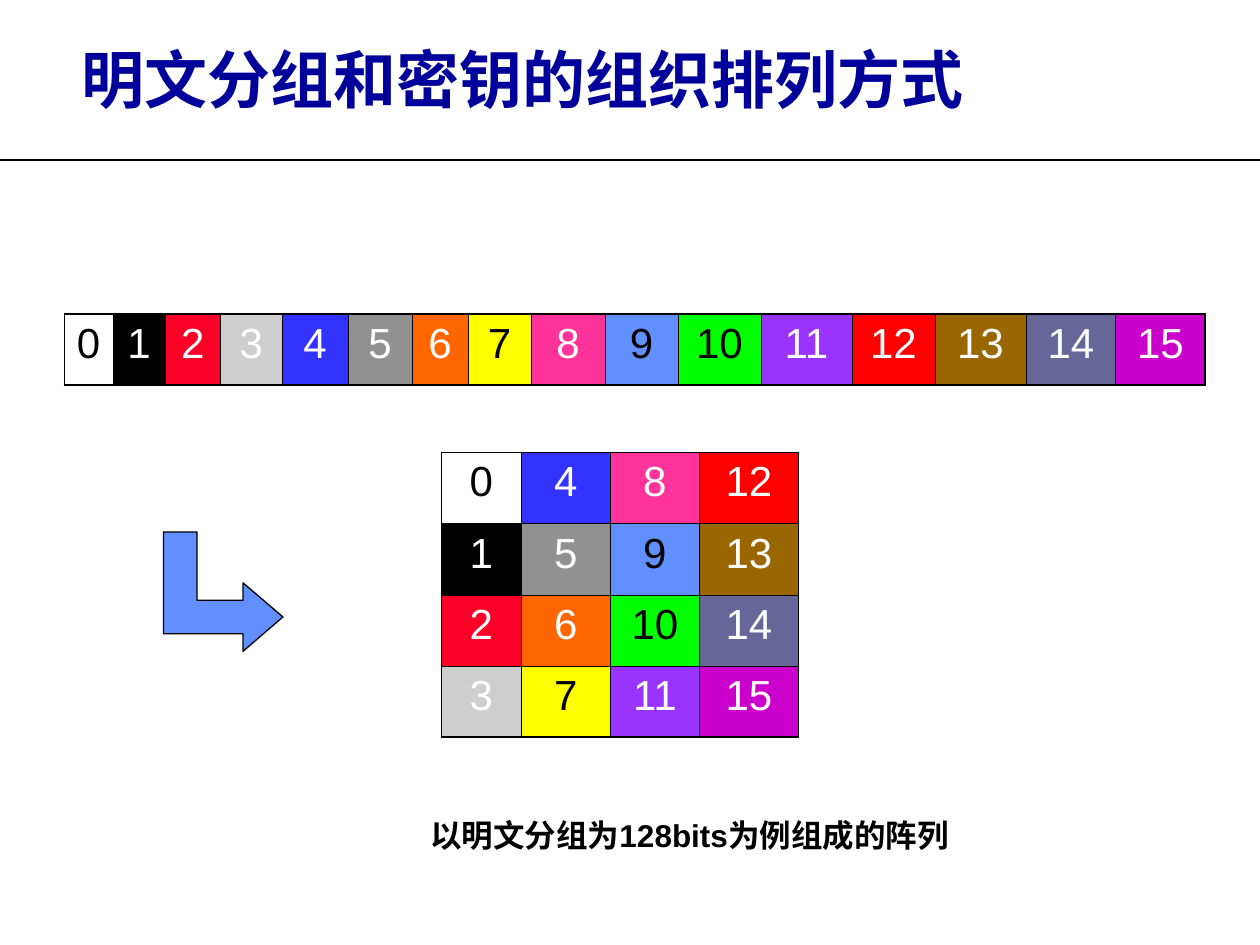
"""Slide showing how a 16-byte plaintext block is arranged into a 4 x 4 array."""
from lxml import etree
from pptx import Presentation
from pptx import util as u
from pptx.dml import color
from pptx.enum import shapes, text
from pptx.oxml import ns

Pt = u.Pt


def paint(target, value):
    if hasattr(target, "solid"):
        target.solid()
        target = target.fore_color
    target.rgb = color.RGBColor.from_string(value)


def write(frame, words, ink, align, formats):
    paragraph = frame.paragraphs[0]
    paragraph.text = words
    paragraph.alignment = align
    for key, value in formats.items():
        setattr(paragraph.font, key, value)
    paint(paragraph.font.color, ink)


BLACK, WHITE = "000000", "FFFFFF"
byte_colors = ["FFFFFF", "000000", "FC0128", "CECECE", "3333FF", "919191", "FF6600", "FFFF00",
               "FF3399", "618FFD", "00FF00", "9933FF", "FF0000", "996600", "666699", "CC00CC"]
dark_text_bytes = {0, 7, 9, 10}
block_widths = [27.7, 30, 31.4, 35.4, 37.7, 36.6, 32, 36,
                42.3, 41.7, 47.4, 52, 47.4, 52, 51.4, 50.9]
array_widths = [45.7, 50.9, 50.9, 56.6]
layouts = [(36.8, 179.4, block_widths, 1), (252.2, 258.6, array_widths, 4)]
row_height = 40.7

deck = Presentation()
deck.slide_width, deck.slide_height = Pt(720), Pt(540)
slide = deck.slides.add_slide(deck.slide_layouts[5])

rule = slide.shapes.add_connector(shapes.MSO_CONNECTOR.STRAIGHT, Pt(0), Pt(91.4), Pt(720), Pt(91.4))
rule.line.width = Pt(1.5)
paint(rule.line.fill, BLACK)
etree.SubElement(rule._element.spPr, ns.qn("a:effectLst"))

title = slide.shapes.title
title.left, title.top, title.width, title.height = Pt(28.8), Pt(0), Pt(691.2), Pt(90)
title_format = {"margin_left": Pt(18), "margin_right": Pt(18), "margin_top": Pt(7.2),
                "margin_bottom": Pt(7.2), "word_wrap": True,
                "auto_size": text.MSO_AUTO_SIZE.NONE, "vertical_anchor": text.MSO_ANCHOR.MIDDLE}
for key, value in title_format.items():
    setattr(title.text_frame, key, value)
write(title.text_frame, "明文分组和密钥的组织排列方式", "00009A", text.PP_ALIGN.LEFT,
      {"name": "Cabin", "size": Pt(36), "bold": True})

for left, top, widths, row_count in layouts:
    column_count = len(widths)
    table = slide.shapes.add_table(row_count, column_count, Pt(left), Pt(top),
                                   Pt(sum(widths)), Pt(row_height * row_count)).table
    table.first_row = table.horz_banding = False
    for column, width in zip(table.columns, widths):
        column.width = Pt(width)
    for row in table.rows:
        row.height = Pt(row_height)
    for byte, byte_color in enumerate(byte_colors):
        column_index, row_index = divmod(byte, row_count)
        cell = table.cell(row_index, column_index)
        outer_sides = {"lnL": column_index == 0, "lnR": column_index == column_count - 1,
                       "lnT": row_index == 0, "lnB": row_index == row_count - 1}
        properties = cell._tc.get_or_add_tcPr()
        for side, is_outer in outer_sides.items():
            border = etree.SubElement(properties, ns.qn("a:" + side),
                                      w=str(int(Pt(1.08 if is_outer else 0.45))))
            border_fill = etree.SubElement(border, ns.qn("a:solidFill"))
            etree.SubElement(border_fill, ns.qn("a:srgbClr"), val=BLACK)
        paint(cell.fill, byte_color)
        write(cell.text_frame, str(byte), BLACK if byte in dark_text_bytes else WHITE,
              text.PP_ALIGN.CENTER, {"name": "Arial", "size": Pt(24)})

caption = slide.shapes.add_textbox(Pt(204), Pt(463), Pt(380), Pt(29))
caption.text_frame.word_wrap = True
write(caption.text_frame, "以明文分组为128bits为例组成的阵列", BLACK, text.PP_ALIGN.CENTER,
      {"name": "Arial", "size": Pt(18), "bold": True})

bend_points = [(112.6, 304), (112.6, 343.1), (138.9, 343.1), (138.9, 333.1), (161.7, 352.6),
               (138.9, 372.2), (138.9, 362.2), (93.4, 362.2)]
outline = slide.shapes.build_freeform(Pt(93.4), Pt(304))
outline.add_line_segments([(Pt(x), Pt(y)) for x, y in bend_points], close=True)
bent_arrow = outline.convert_to_shape()
bent_arrow.shadow.inherit = False
bent_arrow.line.width = Pt(0.75)
paint(bent_arrow.fill, "618FFD")
paint(bent_arrow.line.fill, BLACK)

deck.save("out.pptx")
